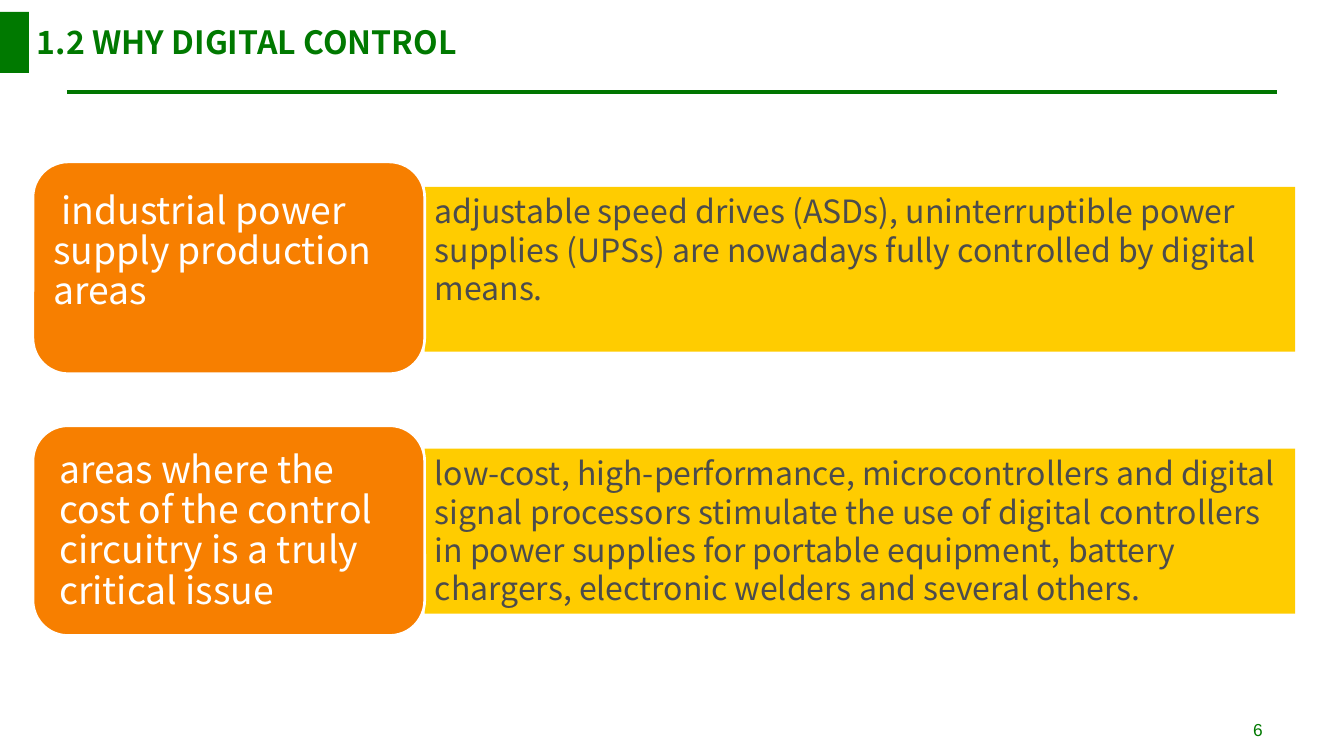
"""Build the slide on why digital control is used, with two labelled reasons."""
from dataclasses import dataclass

from lxml import etree
from pptx import Presentation
from pptx.dml.color import RGBColor
from pptx.enum.shapes import MSO_CONNECTOR, MSO_SHAPE
from pptx.enum.text import MSO_ANCHOR, MSO_AUTO_SIZE, PP_ALIGN
from pptx.oxml.ns import qn
from pptx.util import Inches, Pt

RECT, ROUNDED = MSO_SHAPE.RECTANGLE, MSO_SHAPE.ROUNDED_RECTANGLE
STRAIGHT = MSO_CONNECTOR.STRAIGHT
TOP, MIDDLE = MSO_ANCHOR.TOP, MSO_ANCHOR.MIDDLE
LEFT = PP_ALIGN.LEFT
NO_AUTOFIT = MSO_AUTO_SIZE.NONE
SLIDE_WIDTH, SLIDE_HEIGHT = Inches(14.01), Inches(7.88)
EMU_PER_PX = 9525

TITLE = "1.2 WHY DIGITAL CONTROL"
PAGE_NUMBER = "6"
REASONS = [
    {
        "area": " industrial power supply production areas",
        "detail": "adjustable speed drives (ASDs), uninterruptible power supplies "
                  "(UPSs) are nowadays fully controlled by digital means.",
        "top": 162, "height": 212, "detail_top": 187, "insets": (10, 7, 10, 38),
    },
    {
        "area": "areas where the cost of the control circuitry is a truly critical issue",
        "detail": "low-cost, high-performance, microcontrollers and digital signal "
                  "processors stimulate the use of digital controllers in power supplies "
                  "for portable equipment, battery chargers, electronic welders and "
                  "several others.",
        "top": 426, "height": 210, "detail_top": 449, "insets": (16, 7, 4, 5),
    },
]
AREA_LEFT, AREA_WIDTH = 33, 392
DETAIL_WIDTH, DETAIL_HEIGHT = 871, 165


@dataclass(frozen=True)
class Theme:
    """Colours, fonts and type sizes of the slide."""
    green: str = "007900"
    rule: str = "007600"
    yellow: str = "FFCC00"
    orange: str = "F77F00"
    grey: str = "4C4C4C"
    white: str = "FFFFFF"
    font: str = "Noto Sans CJK SC"
    number_font: str = "Arial"
    heading_size: int = 24
    detail_size: int = 24
    area_size: int = 28
    number_size: int = 13


THEME = Theme()


def px(*lengths):
    """Turn px lengths into EMU."""
    return [length * EMU_PER_PX for length in lengths]


def write(shape, text, *, size, color, font=THEME.font, bold=False, anchor=TOP,
          wrap=True, insets=(10, 5, 10, 5), line_spacing=1.0):
    """Put formatted text into a shape."""
    frame = shape.text_frame
    frame.auto_size = NO_AUTOFIT
    frame.word_wrap = wrap
    frame.vertical_anchor = anchor
    (frame.margin_left, frame.margin_top,
     frame.margin_right, frame.margin_bottom) = px(*insets)
    paragraph = frame.paragraphs[0]
    paragraph.alignment = LEFT
    paragraph.line_spacing = line_spacing
    run = paragraph.add_run()
    run.text = text
    run.font.name = font
    run.font.size = Pt(size)
    run.font.bold = bold
    run.font.color.rgb = RGBColor.from_string(color)


def add_block(slide, kind, box, fill, outline=None):
    """Add a flat filled shape, outlined only when a colour is given."""
    block = slide.shapes.add_shape(kind, *px(*box))
    block.shadow.inherit = False
    block.fill.solid()
    block.fill.fore_color.rgb = RGBColor.from_string(fill)
    if outline:
        block.line.color.rgb = RGBColor.from_string(outline)
        block.line.width = Pt(2)
    else:
        block.line.fill.background()
    return block


def add_heading(slide):
    """Place the title, its side marker and the rule below."""
    rule = slide.shapes.add_connector(STRAIGHT, *px(67, 92, 1278, 92))
    rule.line.color.rgb = RGBColor.from_string(THEME.rule)
    rule.line.width = Pt(3)
    etree.SubElement(rule.element.spPr, qn("a:effectLst"))
    title = slide.shapes.title
    title.left, title.top, title.width, title.height = px(27, 18, 472, 48)
    write(title, TITLE, size=THEME.heading_size, color=THEME.green, bold=True, wrap=False)
    add_block(slide, RECT, (0, 12, 29, 61), THEME.green)


def add_reason(slide, reason):
    """Add one detail bar with its area label at the left."""
    detail = add_block(slide, RECT, (AREA_LEFT + AREA_WIDTH, reason["detail_top"],
                                     DETAIL_WIDTH, DETAIL_HEIGHT), THEME.yellow)
    write(detail, reason["detail"], size=THEME.detail_size, color=THEME.grey)
    area = add_block(slide, ROUNDED, (AREA_LEFT, reason["top"], AREA_WIDTH,
                                      reason["height"]), THEME.orange, THEME.white)
    write(area, reason["area"], size=THEME.area_size, color=THEME.white,
          anchor=MIDDLE, insets=reason["insets"], line_spacing=0.9)


def main():
    """Assemble and save the slide."""
    deck = Presentation()
    deck.slide_width, deck.slide_height = SLIDE_WIDTH, SLIDE_HEIGHT
    slide = deck.slides.add_slide(deck.slide_layouts[5])
    add_heading(slide)
    for reason in REASONS:
        add_reason(slide, reason)
    number = slide.shapes.add_textbox(*px(1244, 715, 89, 34))
    write(number, PAGE_NUMBER, size=THEME.number_size, color=THEME.green,
          font=THEME.number_font)
    deck.save("out.pptx")


if __name__ == "__main__":
    main()
